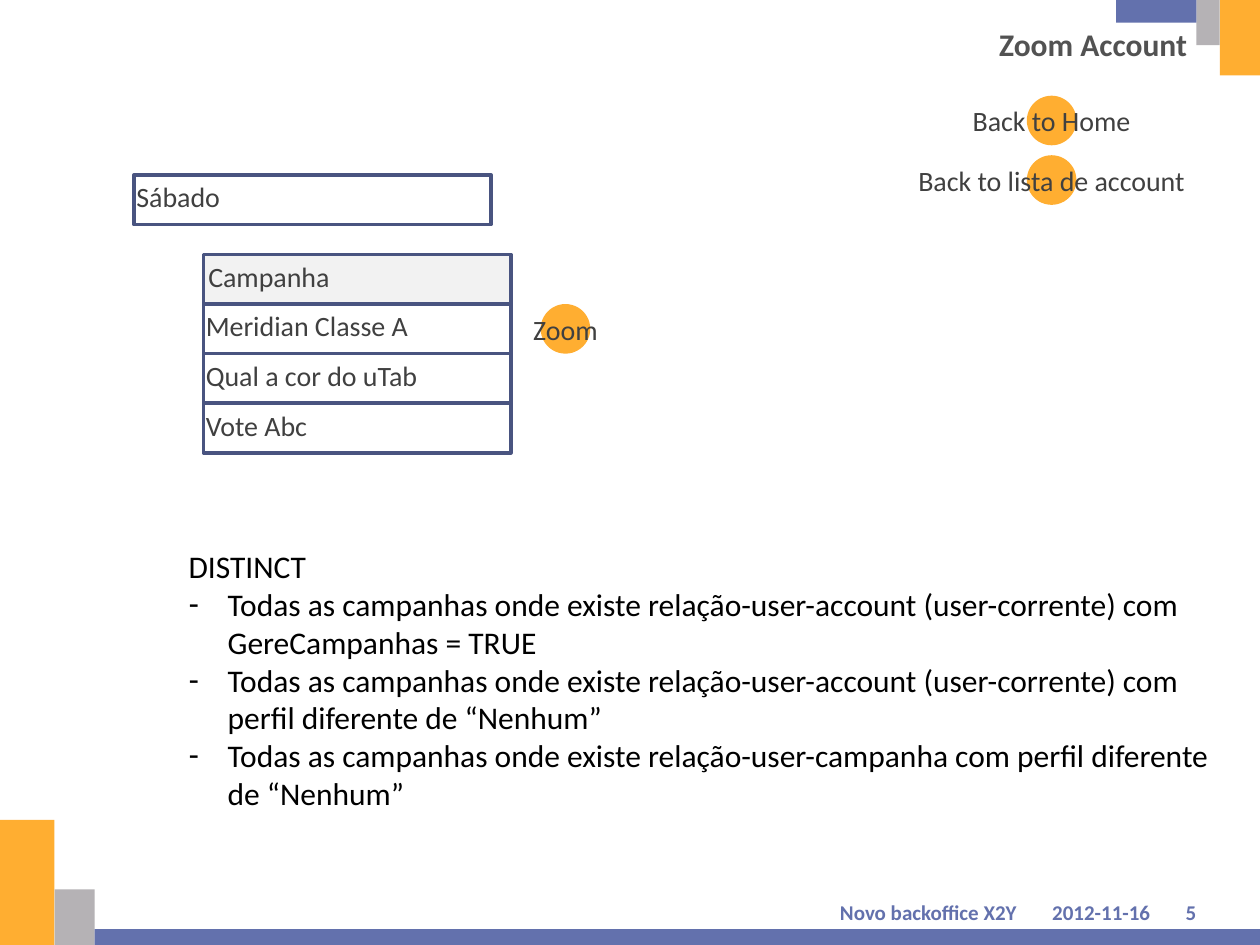
from typing import NamedTuple, Optional

from lxml import etree
from pptx import Presentation
from pptx.dml.color import RGBColor
from pptx.enum.shapes import MSO_SHAPE
from pptx.enum.text import MSO_ANCHOR, MSO_AUTO_SIZE, PP_ALIGN
from pptx.oxml.ns import qn
from pptx.util import Cm, Pt

ORANGE = RGBColor(0xFF, 0xAE, 0x31)
GREY = RGBColor(0xB5, 0xB2, 0xB5)
BLUE = RGBColor(0x63, 0x71, 0xAD)
OUTLINE = RGBColor(0x49, 0x54, 0x80)
HEADER_FILL = RGBColor(0xF2, 0xF2, 0xF2)
TITLE_GREY = RGBColor(0x52, 0x52, 0x52)
TEXT_GREY = RGBColor(0x40, 0x40, 0x40)
BLACK = RGBColor(0, 0, 0)

RECTANGLE, OVAL = MSO_SHAPE.RECTANGLE, MSO_SHAPE.OVAL
LEFT, CENTER, RIGHT = PP_ALIGN.LEFT, PP_ALIGN.CENTER, PP_ALIGN.RIGHT
TOP, MIDDLE = MSO_ANCHOR.TOP, MSO_ANCHOR.MIDDLE
NO_AUTOFIT = MSO_AUTO_SIZE.NONE

FONT = "Calibri"
ROW = 1.0  # height of a row and diameter of a button, in cm
CAMPAIGN_TOP = 5.13


class Area(NamedTuple):
    left: float
    top: float
    width: float
    height: float


class Block(NamedTuple):
    area: Area
    color: RGBColor


class Field(NamedTuple):
    text: str
    area: Area
    fill: Optional[RGBColor] = None
    side: float = 0.05


class Button(NamedTuple):
    text: str
    left: float
    top: float


class FooterItem(NamedTuple):
    text: str
    left: float
    width: float
    align: PP_ALIGN


BLOCKS = [
    Block(Area(0, 16.53, 1.1, 2.52), ORANGE),
    Block(Area(1.1, 17.93, 0.81, 1.12), GREY),
    Block(Area(1.91, 18.73, 23.49, 0.32), BLUE),
    Block(Area(24.59, 0, 0.81, 1.52), ORANGE),
    Block(Area(24.12, 0, 0.47, 0.91), GREY),
    Block(Area(22.5, 0, 1.62, 0.46), BLUE),
]
FOOTER = [
    FooterItem("Novo backoffice X2Y", 1.3, 19.4, RIGHT),
    FooterItem("2012-11-16", 20.9, 2.6, CENTER),
    FooterItem("5", 23.7, 1.0, LEFT),
]
CAMPAIGNS = ["Campanha", "Meridian Classe A", "Qual a cor do uTab", "Vote Abc"]
BUTTONS = [
    Button("Zoom", 10.9, CAMPAIGN_TOP + ROW),
    Button("Back to lista de account", 20.7, 3.13),
    Button("Back to Home", 20.7, 1.93),
]
RULES = [
    "Todas as campanhas onde existe relação-user-account (user-corrente) com\v"
    "GereCampanhas = TRUE",
    "Todas as campanhas onde existe relação-user-account (user-corrente) com\v"
    "perfil diferente de “Nenhum”",
    "Todas as campanhas onde existe relação-user-campanha com perfil diferente "
    "de “Nenhum”",
]


def place(shape, area: Area) -> None:
    shape.left, shape.top, shape.width, shape.height = (Cm(v) for v in area)


def set_frame(frame, anchor, side: float, top: float, bottom: float, wrap: bool = True) -> None:
    frame.auto_size = NO_AUTOFIT
    frame.word_wrap = wrap
    frame.vertical_anchor = anchor
    frame.margin_left = frame.margin_right = Cm(side)
    frame.margin_top, frame.margin_bottom = Cm(top), Cm(bottom)


def style(para, size: float, color: RGBColor, align=LEFT, bold: bool = False) -> None:
    para.alignment = align
    font = para.font
    font.name, font.size, font.bold = FONT, Pt(size), bold
    font.color.rgb = color


def add_box(page, kind, area: Area, fill: Optional[RGBColor], outlined: bool = False):
    box = page.shapes.add_shape(kind, *(Cm(v) for v in area))
    box.shadow.inherit = False
    if fill is None:
        box.fill.background()
    else:
        box.fill.solid()
        box.fill.fore_color.rgb = fill
    if outlined:
        box.line.color.rgb = OUTLINE
        box.line.width = Pt(2)
    else:
        box.line.fill.background()
    return box


def add_field(page, field: Field) -> None:
    box = add_box(page, RECTANGLE, field.area, field.fill, outlined=True)
    set_frame(box.text_frame, TOP, field.side, 0.1, 0.1)
    box.text_frame.text = field.text
    style(box.text_frame.paragraphs[0], 16, TEXT_GREY)


def add_button(page, button: Button) -> None:
    box = add_box(page, OVAL, Area(button.left, button.top, ROW, ROW), ORANGE)
    set_frame(box.text_frame, MIDDLE, 0.1, 0.1, 0.1, wrap=False)
    box.text_frame.text = button.text
    style(box.text_frame.paragraphs[0], 16, TEXT_GREY, CENTER)


def add_footer_item(page, item: FooterItem) -> None:
    box = page.shapes.add_textbox(Cm(item.left), Cm(17.93), Cm(item.width), Cm(0.71))
    set_frame(box.text_frame, MIDDLE, 0.2, 0.2, 0)
    box.text_frame.text = item.text
    style(box.text_frame.paragraphs[0], 12, BLUE, item.align, bold=True)


def set_bullet(para, char: Optional[str], indent: float) -> None:
    props = para._p.get_or_add_pPr()
    props.set("marL", str(Cm(indent)))
    props.set("indent", str(-Cm(indent)))
    bullet = etree.Element(qn("a:buChar" if char else "a:buNone"))
    if char:
        bullet.set("char", char)
    props.append(bullet)


def fill_title(title) -> None:
    place(title, Area(12.14, 0.38, 12.04, 1.0))
    set_frame(title.text_frame, MIDDLE, 0.25, 0.13, 0.13)
    title.text_frame.text = "Zoom Account"
    style(title.text_frame.paragraphs[0], 18, TITLE_GREY, RIGHT, bold=True)


def fill_rules(body) -> None:
    place(body, Area(3.7, 10.93, 20.8, 5.58))
    frame = body.text_frame
    set_frame(frame, TOP, 0.1, 0.1, 0.1)
    frame.text = "\n".join(["DISTINCT", *RULES])
    for index, para in enumerate(frame.paragraphs):
        para.space_before = Pt(0)
        set_bullet(para, "-" if index else None, 0.79 if index else 0)
        style(para, 18, BLACK)


deck = Presentation()
deck.slide_width, deck.slide_height = Cm(25.4), Cm(19.05)
page = deck.slides.add_slide(deck.slide_layouts[1])

# Corner decoration and footer
for block in BLOCKS:
    add_box(page, RECTANGLE, block.area, block.color)
for item in FOOTER:
    add_footer_item(page, item)

# Title and selection rules
fill_title(page.shapes.title)
fill_rules(page.placeholders[1])

# Account name and campaign list
add_field(page, Field("Sábado", Area(2.7, 3.53, 7.2, ROW)))
for index, campaign in enumerate(CAMPAIGNS):
    area = Area(4.1, CAMPAIGN_TOP + index * ROW, 6.2, ROW)
    if index == 0:
        add_field(page, Field(campaign, area, HEADER_FILL, 0.1))
    else:
        add_field(page, Field(campaign, area))

# Navigation buttons
for button in BUTTONS:
    add_button(page, button)

deck.save("out.pptx")
